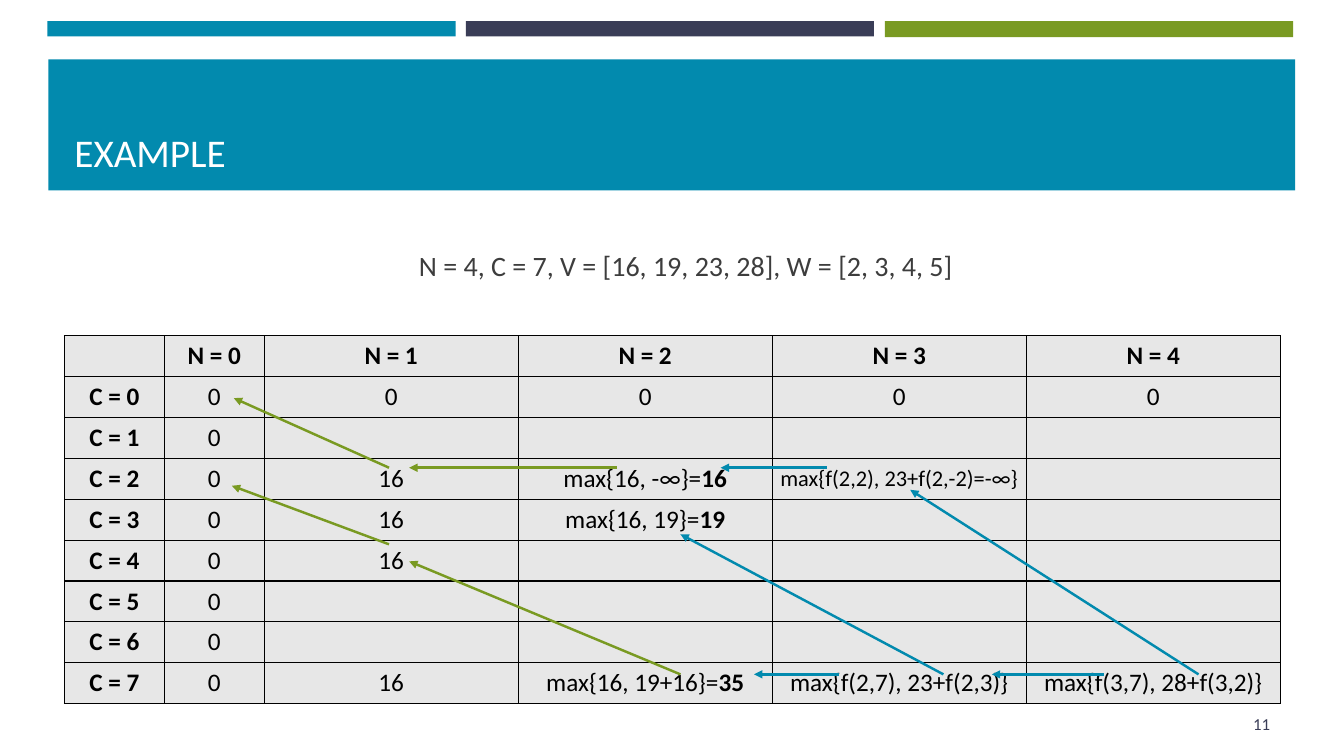
import pptx
import pptx.util
import pptx.dml.color
import pptx.enum.shapes
import pptx.enum.text
import pptx.oxml.ns
import lxml.etree

Pt = pptx.util.Pt
PP_ALIGN = pptx.enum.text.PP_ALIGN
ANCHOR = pptx.enum.text.MSO_ANCHOR
qn = pptx.oxml.ns.qn
TEAL, NAVY, GREEN = "028AAE", "3A3D57", "799A22"


def paint(target, colour):
    target.solid()
    target.fore_color.rgb = pptx.dml.color.RGBColor.from_string(colour)


def style(run, size, colour, bold=False):
    run.font.name = "Calibri"
    run.font.size = Pt(size)
    run.font.bold = bold
    paint(run.font.fill, colour)


deck = pptx.Presentation()
deck.slide_width, deck.slide_height = Pt(960), Pt(540)
slide = deck.slides.add_slide(deck.slide_layouts[6])

bands = [
    (33.8, 15.1, 291.6, 11, TEAL),
    (332.7, 15.1, 291.6, 11, NAVY),
    (632, 15.1, 291.6, 11.4, GREEN),
    (34.6, 42.4, 890.6, 93.6, TEAL),
]
for left, top, width, height, colour in bands:
    band = slide.shapes.add_shape(
        pptx.enum.shapes.MSO_SHAPE.RECTANGLE, Pt(left), Pt(top), Pt(width), Pt(height))
    band.shadow.inherit = False
    paint(band.fill, colour)
    band.line.fill.background()

captions = [
    ("EXAMPLE", 46.1, 50.4, 868.3, 78.5, 28, "FFFFFF", PP_ALIGN.LEFT, ANCHOR.BOTTOM, 7.2),
    ("N = 4, C = 7, V = [16, 19, 23, 28], W = [2, 3, 4, 5]",
     46.1, 150.5, 862.6, 78.5, 20, "3D3D3D", PP_ALIGN.CENTER, ANCHOR.MIDDLE, 32.4),
    ("11", 831.6, 502.6, 82.8, 28.8, 12, NAVY, PP_ALIGN.RIGHT, ANCHOR.MIDDLE, 7.2),
]
for text, left, top, width, height, size, colour, align, anchor, inset in captions:
    caption = slide.shapes.add_textbox(Pt(left), Pt(top), Pt(width), Pt(height)).text_frame
    caption.word_wrap = True
    caption.vertical_anchor = anchor
    caption.margin_left = Pt(inset)
    caption.text = text
    caption.paragraphs[0].alignment = align
    style(caption.paragraphs[0].runs[0], size, colour)

values = [
    ["", "N = 0", "N = 1", "N = 2", "N = 3", "N = 4"],
    ["C = 0", "0", "0", "0", "0", "0"],
    ["C = 1", "0", "", "", "", ""],
    ["C = 2", "0", "16", "max{16, -∞}=16", "max{f(2,2), 23+f(2,-2)=-∞}", ""],
    ["C = 3", "0", "16", "max{16, 19}=19", "", ""],
    ["C = 4", "0", "16", "", "", ""],
    ["C = 5", "0", "", "", "", ""],
    ["C = 6", "0", "", "", "", ""],
    ["C = 7", "0", "16", "max{16, 19+16}=35", "max{f(2,7), 23+f(2,3)}", "max{f(3,7), 28+f(3,2)}"],
]
knapsack = slide.shapes.add_table(
    len(values), len(values[0]), Pt(46.1), Pt(239.8), Pt(868.4), Pt(262.8)).table
knapsack.first_row = knapsack.horz_banding = False
for column, width in zip(knapsack.columns, [71.3] * 2 + [181.45] * 4):
    column.width = Pt(width)
for r, row in enumerate(values):
    knapsack.rows[r].height = Pt(29.2)
    for c, text in enumerate(row):
        cell = knapsack.cell(r, c)
        properties = cell._tc.get_or_add_tcPr()
        for side in ("a:lnL", "a:lnR", "a:lnT", "a:lnB"):
            border = lxml.etree.SubElement(properties, qn(side), w=str(Pt(1)))
            ink = lxml.etree.SubElement(border, qn("a:solidFill"))
            lxml.etree.SubElement(ink, qn("a:srgbClr"), val="000000")
        paint(cell.fill, "E7E7E7")
        if text.startswith("max"):
            cell.vertical_anchor = ANCHOR.MIDDLE
            cell.margin_left = cell.margin_right = Pt(3.6)
        paragraph = cell.text_frame.paragraphs[0]
        paragraph.alignment = PP_ALIGN.CENTER
        formula, equals, result = text.partition("}=")
        paragraph.text = formula + equals
        for run in paragraph.runs:
            style(run, 16 if "(2,-2)" in text else 18, "000000", r == 0 or c == 0)
        if result:
            best = paragraph.add_run()
            best.text = result
            style(best, 18, "000000", True)

steps = [
    (788.4, 481.7, 708.5, 481.7, TEAL),
    (590.4, 334.1, 514.8, 334.1, TEAL),
    (673.9, 481.7, 486, 381.6, TEAL),
    (599, 481.7, 538.6, 481.7, TEAL),
    (277.9, 388.8, 165.6, 347, GREEN),
    (277.9, 334.1, 167, 284.4, GREEN),
    (440.6, 334.1, 292.3, 334.1, GREEN),
    (486, 481.7, 292.3, 401, GREEN),
    (856.1, 481.7, 650.2, 349.9, TEAL),
]
for x1, y1, x2, y2, colour in steps:
    step = slide.shapes.add_connector(
        pptx.enum.shapes.MSO_CONNECTOR.STRAIGHT, Pt(x1), Pt(y1), Pt(x2), Pt(y2))
    paint(step.line.fill, colour)
    step.line.width = Pt(1.75)
    lxml.etree.SubElement(step.line._get_or_add_ln(), qn("a:tailEnd"), type="triangle")
    lxml.etree.SubElement(step._element.spPr, qn("a:effectLst"))

deck.save("out.pptx")
